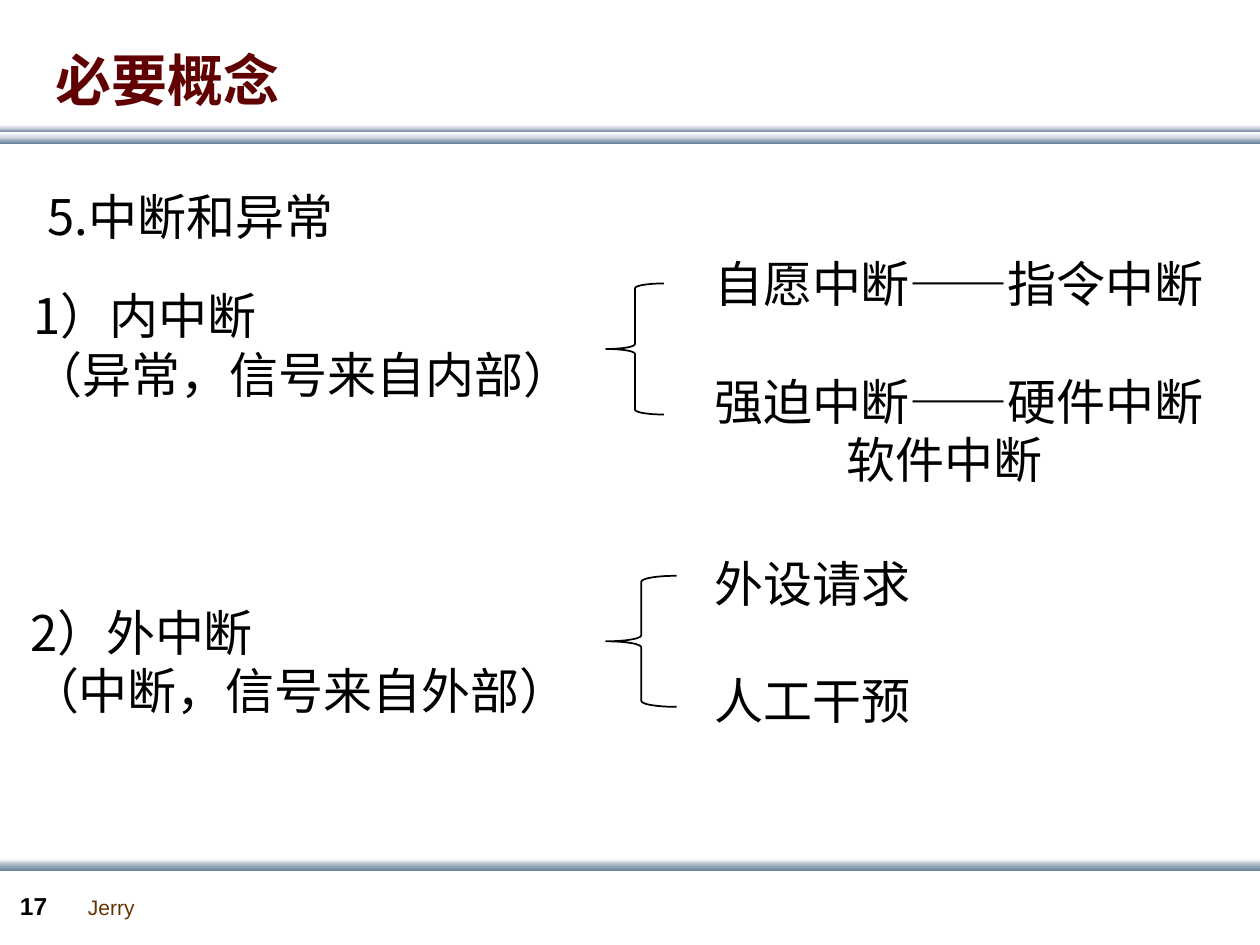
import pptx
import pptx.util
import pptx.dml.color
import pptx.enum.shapes
import pptx.enum.text
import pptx.oxml.ns
import lxml.etree

Inches = pptx.util.Inches
Pt = pptx.util.Pt
Shape = pptx.enum.shapes.MSO_SHAPE
Anchor = pptx.enum.text.MSO_ANCHOR

THEME = {
    "latin": "Arial", "cjk": "Noto Sans CJK SC",
    "black": "000000", "title": "600000", "author": "663300",
    "white": "FFFFFF", "pale": "C8D1DA", "steel": "6A839C",
    "title_size": 32, "body_size": 28, "number_size": 14, "author_size": 12,
}

TITLE = ("必要概念", (0.34, 0.21, 8.25, 0.83))
BARS = [
    (1.09, 0.05, "pale", "steel"),
    (1.02, 0.03, "pale", "steel"),
    (1.05, 0.05, "white", "pale"),
    (0.99, 0.03, "white", "pale"),
    (6.81, 0.05, "white", "pale"),
    (6.84, 0.07, "pale", "steel"),
]
FOOTERS = [
    ("Jerry", (0.6, 7.05, 0.57, 0.3), "author_size", "author", False),
    ("17", (0.06, 7.02, 0.55, 0.34), "number_size", "black", True),
]
LINE_GAP = 33.8
BODY = [
    ((0.28, 1.43, 3.3, 0.57), [("5.中断和异常", 0, 0)]),
    ((0.17, 2.22, 4.84, 1.04), [("1）内中断", 0, 0), ("（异常，信号来自内部）", 0, 0)]),
    ((0.14, 4.73, 4.81, 1.04), [("2）外中断", 0, 0), ("（中断，信号来自外部）", 0, 0)]),
    ((5.57, 1.96, 4.84, 1.97), [("自愿中断——指令中断", 0, 0),
                                ("强迫中断——硬件中断", LINE_GAP, 0),
                                ("软件中断", 0, 1.05)]),
    ((5.57, 4.34, 2.61, 1.5), [("外设请求", 0, 0), ("人工干预", LINE_GAP, 0)]),
]
BRACES = [(4.81, 2.25, 0.46, 1.04), (4.81, 4.57, 0.56, 1.04)]


def colour(name):
    return pptx.dml.color.RGBColor.from_string(THEME[name])


def place(area):
    return [Inches(value) for value in area]


def add_run(para, text, size, color, font, bold=False):
    span = para.add_run()
    span.text = text
    span.font.size = Pt(THEME[size])
    span.font.bold = bold
    span.font.name = THEME[font]
    span.font.color.rgb = colour(color)
    east_asian = lxml.etree.SubElement(span.font._element, pptx.oxml.ns.qn("a:ea"))
    east_asian.set("typeface", THEME["cjk"])


def set_frame(frame, wrap=True, anchor=Anchor.TOP):
    frame.word_wrap = wrap
    frame.vertical_anchor = anchor
    frame.auto_size = pptx.enum.text.MSO_AUTO_SIZE.NONE
    frame.margin_left = frame.margin_right = Inches(0.1)
    frame.margin_top = frame.margin_bottom = Inches(0.05)


def add_bar(page, top, height, start, end):
    bar = page.shapes.add_shape(Shape.RECTANGLE, *place((0, top, 10, height)))
    bar.shadow.inherit = False
    bar.line.fill.background()
    bar.fill.gradient()
    bar.fill.gradient_angle = 270
    for stop, name, position in zip(bar.fill.gradient_stops, (start, end), (0, 1)):
        stop.color.rgb = colour(name)
        stop.position = position


def add_footer(page, text, area, size, color, bold):
    box = page.shapes.add_textbox(*place(area))
    set_frame(box.text_frame, wrap=False)
    add_run(box.text_frame.paragraphs[0], text, size, color, "latin", bold)


def add_body(page, area, lines):
    box = page.shapes.add_textbox(*place(area))
    frame = box.text_frame
    set_frame(frame)
    for index, (text, gap, indent) in enumerate(lines):
        para = frame.add_paragraph() if index else frame.paragraphs[0]
        if gap:
            para.space_before = Pt(gap)
        if indent:
            para._p.get_or_add_pPr().set("marL", str(Inches(indent)))
        add_run(para, text, "body_size", "black", "cjk")


def add_brace(page, area):
    brace = page.shapes.add_shape(Shape.LEFT_BRACE, *place(area))
    brace.shadow.inherit = False
    brace.fill.background()
    brace.line.color.rgb = colour("black")
    brace.line.width = Pt(1)


def add_title(page, text, area):
    title = page.shapes.title
    title.left, title.top, title.width, title.height = place(area)
    set_frame(title.text_frame, anchor=Anchor.MIDDLE)
    para = title.text_frame.paragraphs[0]
    para.alignment = pptx.enum.text.PP_ALIGN.LEFT
    add_run(para, text, "title_size", "title", "latin", True)


def main():
    deck = pptx.Presentation()
    deck.slide_width, deck.slide_height = Inches(10), Inches(7.5)
    page = deck.slides.add_slide(deck.slide_layouts[5])
    for bar in BARS:
        add_bar(page, *bar)
    for footer in FOOTERS:
        add_footer(page, *footer)
    for area, lines in BODY:
        add_body(page, area, lines)
    add_title(page, *TITLE)
    for area in BRACES:
        add_brace(page, area)
    deck.save("out.pptx")


if __name__ == "__main__":
    main()
